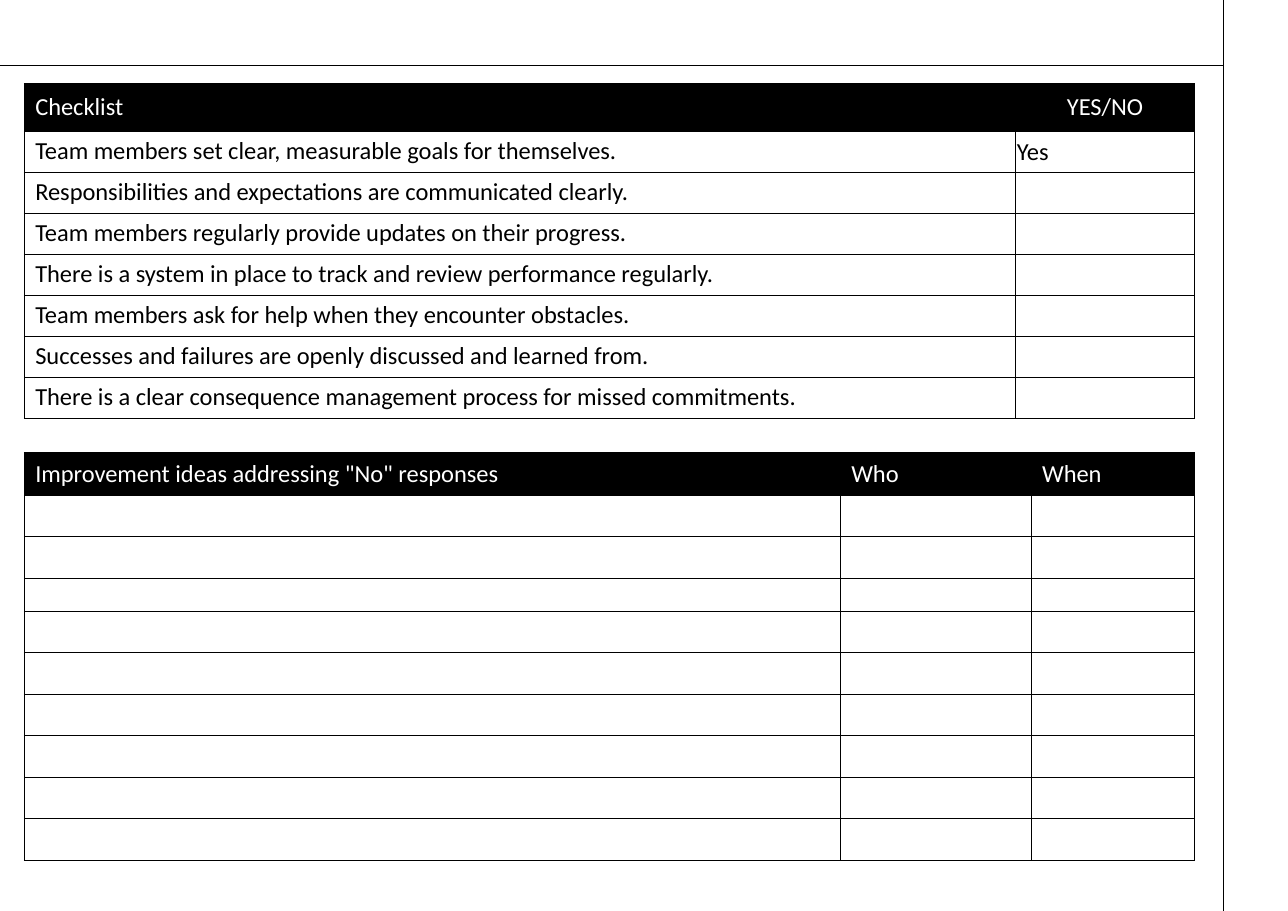
import dataclasses

import lxml.etree
import pptx
import pptx.dml.color
import pptx.enum.shapes
import pptx.enum.text
import pptx.oxml.ns
import pptx.util


@dataclasses.dataclass(frozen=True)
class Theme:
    """Colours, font and sizes shared by the slide."""

    ink: str = "000000"
    paper: str = "FFFFFF"
    font: str = "Calibri"
    text_size: int = 16
    empty_size: int = 10
    line_width: float = 0.5


@dataclasses.dataclass(frozen=True)
class Box:
    """A region of the slide, in inches."""

    left: float
    top: float
    width: float
    height: float


THEME = Theme()
SLIDE = Box(0, 0, 11.69, 8.27)
FRAME_RIGHT = 0.95 * SLIDE.width
FRAME_TOP = 0.59
TABLE_LEFT, TABLE_WIDTH = 0.22, 10.62
CHECKS = [
    "Team members set clear, measurable goals for themselves.",
    "Responsibilities and expectations are communicated clearly.",
    "Team members regularly provide updates on their progress.",
    "There is a system in place to track and review performance regularly.",
    "Team members ask for help when they encounter obstacles.",
    "Successes and failures are openly discussed and learned from.",
    "There is a clear consequence management process for missed commitments.",
]


def color(value):
    """Turn a hex string into a colour."""
    return pptx.dml.color.RGBColor.from_string(value)


def write_text(cell, text, ink=THEME.ink, size=THEME.text_size, align=None):
    """Write one formatted paragraph into a cell."""
    cell.vertical_anchor = pptx.enum.text.MSO_ANCHOR.MIDDLE
    paragraph = cell.text_frame.paragraphs[0]
    paragraph.alignment = align
    if not text:
        ending = paragraph._p.get_or_add_endParaRPr()
        ending.set("sz", str(THEME.empty_size * 100))
        return
    run = paragraph.add_run()
    run.text = text
    run.font.name = THEME.font
    run.font.size = pptx.util.Pt(size)
    run.font.color.rgb = color(ink)


def style_cell(cell, fill):
    """Give a cell thin borders on all sides and a solid fill."""
    properties = cell._tc.get_or_add_tcPr()
    qualified = pptx.oxml.ns.qn
    for side in ("a:lnL", "a:lnR", "a:lnT", "a:lnB"):
        border = lxml.etree.SubElement(properties, qualified(side))
        border.set("w", str(pptx.util.Pt(THEME.line_width)))
        solid = lxml.etree.SubElement(border, qualified("a:solidFill"))
        lxml.etree.SubElement(solid, qualified("a:srgbClr")).set("val", THEME.ink)
    cell.fill.solid()
    cell.fill.fore_color.rgb = color(fill)


def add_grid(slide, box, rows, column_weights, row_heights):
    """Fill a box with a bordered table under a dark header row."""
    table = slide.shapes.add_table(
        len(rows), len(column_weights),
        *(pptx.util.Inches(length) for length in dataclasses.astuple(box)),
    ).table
    table.horz_banding = False
    for column, weight in zip(table.columns, column_weights):
        column.width = pptx.util.Inches(box.width * weight / sum(column_weights))
    for row, height in zip(table.rows, row_heights):
        row.height = pptx.util.Inches(box.height * height / sum(row_heights))
    for row_index, texts in enumerate(rows):
        ink, fill = (THEME.ink, THEME.paper) if row_index else (THEME.paper, THEME.ink)
        for column_index, text in enumerate(texts):
            cell = table.cell(row_index, column_index)
            style_cell(cell, fill)
            centred = text == "YES/NO"
            write_text(cell, text, ink=ink,
                       align=pptx.enum.text.PP_ALIGN.CENTER if centred else None)
    return table


def add_rule(slide, start, end):
    """Draw a thin straight line between two points."""
    rule = slide.shapes.add_connector(
        pptx.enum.shapes.MSO_CONNECTOR.STRAIGHT,
        *(pptx.util.Inches(length) for length in (*start, *end)),
    )
    rule.line.color.rgb = color(THEME.ink)
    rule.line.width = pptx.util.Pt(THEME.line_width)
    lxml.etree.SubElement(rule._element.spPr, pptx.oxml.ns.qn("a:effectLst"))


def add_frame(slide, box):
    """Draw the rules along the right and top edges of a box."""
    right = box.left + box.width
    add_rule(slide, (right, box.top + box.height), (right, 0))
    add_rule(slide, (right, box.top), (box.left, box.top))


def add_checklist(slide, box):
    """Place the checklist with its answer column."""
    answers = ["Yes"] + [""] * (len(CHECKS) - 1)
    rows = [("Checklist", "YES/NO"), *zip(CHECKS, answers)]
    table = add_grid(slide, box, rows, (9, 1.62), [0.43] + [0.37] * len(CHECKS))
    answer = table.cell(1, 1)
    answer.margin_left = answer.margin_right = answer.margin_top = pptx.util.Inches(0.01)
    answer.margin_bottom = 0


def add_improvements(slide, box):
    """Place the blank table for improvement ideas."""
    header = ('Improvement ideas addressing "No" responses', "Who", "When")
    heights = [0.39, 0.38, 0.38, 0.3] + [0.38] * 6
    rows = [header] + [("", "", "")] * (len(heights) - 1)
    add_grid(slide, box, rows, (7.4, 1.73, 1.48), heights)


def main():
    """Build and save the slide."""
    presentation = pptx.Presentation()
    presentation.slide_width = pptx.util.Inches(SLIDE.width)
    presentation.slide_height = pptx.util.Inches(SLIDE.height)
    slide = presentation.slides.add_slide(presentation.slide_layouts[6])
    add_frame(slide, Box(0, FRAME_TOP, FRAME_RIGHT, SLIDE.height - FRAME_TOP))
    add_improvements(slide, Box(TABLE_LEFT, 4.11, TABLE_WIDTH, 3.7))
    add_checklist(slide, Box(TABLE_LEFT, 0.76, TABLE_WIDTH, 3.02))
    presentation.save("out.pptx")


if __name__ == "__main__":
    main()
